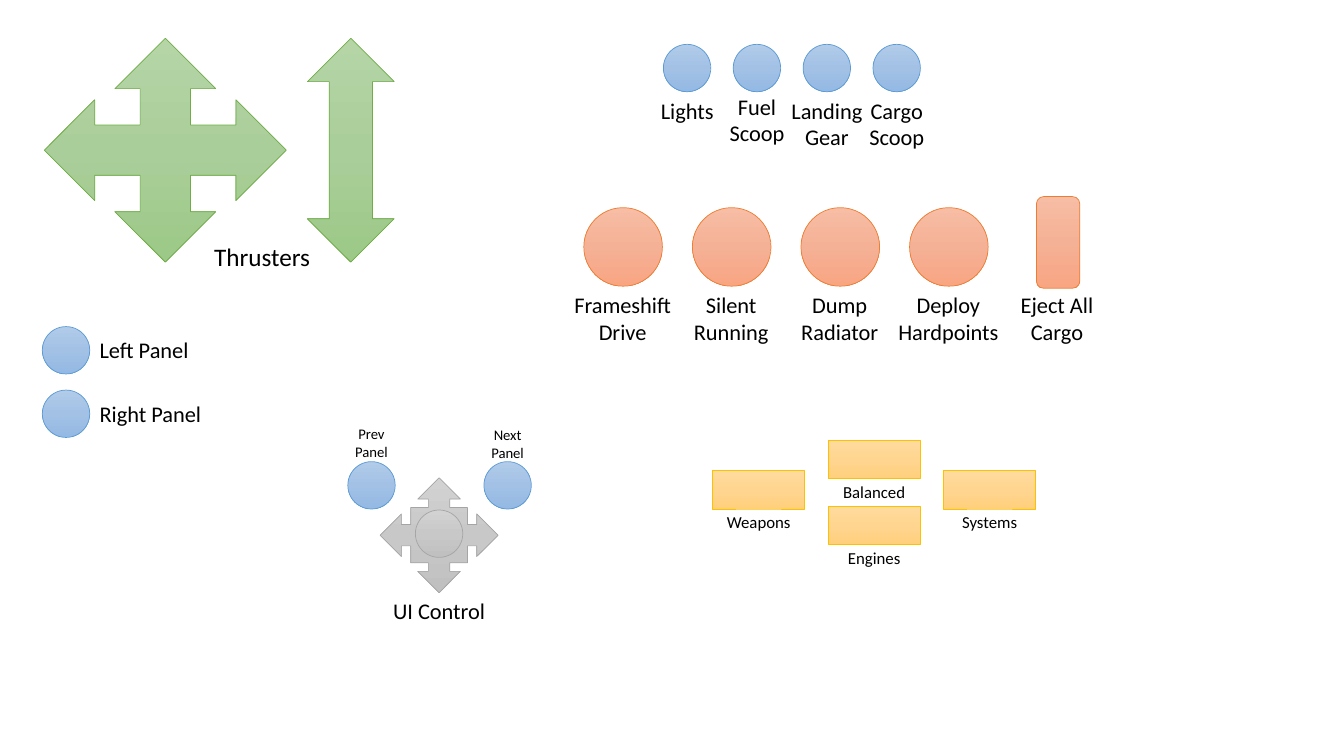
from copy import deepcopy
from dataclasses import dataclass

from pptx import Presentation
from pptx.dml.color import RGBColor
from pptx.enum.shapes import MSO_SHAPE
from pptx.enum.text import MSO_AUTO_SIZE, PP_ALIGN
from pptx.oxml.ns import qn
from pptx.util import Inches, Pt


@dataclass(frozen=True)
class Theme:
    """Colours, font and type sizes of the control map."""
    font: str = "Calibri"
    text: str = "000000"
    # Three gradient colours from top to bottom, then the outline.
    green: tuple = ("B5D5A7", "AACE9A", "9CC987", "70AD47")
    blue: tuple = ("B1CBE9", "A3C1E5", "93B9E4", "5B9BD5")
    orange: tuple = ("F7BDA5", "F5B196", "F8A582", "ED7D31")
    yellow: tuple = ("FFDB9E", "FFD590", "FFD07C", "FFC000")
    grey: tuple = ("D2D2D2", "C8C8C8", "C0C0C0", "A5A5A5")
    outline: float = 0.5
    heading: float = 18
    body: float = 16
    small: float = 12
    tiny: float = 10.5


THEME = Theme()
CIRCLE = MSO_SHAPE.FLOWCHART_CONNECTOR
SMALL_BUTTON = 0.47
LARGE_BUTTON = 0.78

# Label and its top
SHIP_SWITCHES = [("Lights", 0.91), ("Fuel\nScoop", 0.87),
                 ("Landing\nGear", 0.91), ("Cargo\nScoop", 0.91)]
COMBAT_BUTTONS = ["Frameshift\nDrive", "Silent\nRunning", "Dump\nRadiator",
                  "Deploy\nHardpoints"]
EJECT_LABEL = "Eject All\nCargo"
SIDE_PANELS = ["Left Panel", "Right Panel"]
# Label, left, label top
PANEL_TABS = [("Prev\nPanel", 3.45, 4.17), ("Next\nPanel", 4.8, 4.18)]
# Label, column, top
POWER_KEYS = [("Weapons", 0, 4.67), ("Balanced", 1, 4.37),
              ("Engines", 1, 5.02), ("Systems", 2, 4.67)]


def add_control(page, kind, left, top, width, height, colours):
    """Add a shape with a vertical three-colour gradient and a thin outline."""
    shape = page.shapes.add_shape(kind, Inches(left), Inches(top),
                                  Inches(width), Inches(height))
    shape.shadow.inherit = False
    shape.fill.gradient()
    shape.fill.gradient_angle = 270
    stop_list = shape._element.spPr.find(qn("a:gradFill")).find(qn("a:gsLst"))
    stop_list.insert(1, deepcopy(stop_list[0]))
    for stop, colour, position in zip(shape.fill.gradient_stops, colours,
                                      (0, 0.5, 1)):
        stop.color.rgb = RGBColor.from_string(colour)
        stop.position = position
    shape.line.color.rgb = RGBColor.from_string(colours[-1])
    shape.line.width = Pt(THEME.outline)
    return shape


def add_label(page, text, left, top, width, height, size=THEME.body,
              align=PP_ALIGN.CENTER):
    """Add a text box with one paragraph for each line of text."""
    box = page.shapes.add_textbox(Inches(left), Inches(top),
                                  Inches(width), Inches(height))
    frame = box.text_frame
    frame.word_wrap = True
    frame.auto_size = MSO_AUTO_SIZE.SHAPE_TO_FIT_TEXT
    frame.text = text
    for para in frame.paragraphs:
        para.alignment = align
        para.font.name = THEME.font
        para.font.size = Pt(size)
        para.font.color.rgb = RGBColor.from_string(THEME.text)
    return box


def add_button(page, left, top, size, colours):
    """Add a round button."""
    return add_control(page, CIRCLE, left, top, size, size, colours)


def add_thrusters(page):
    """Add the two thruster arrows and their label."""
    add_control(page, MSO_SHAPE.QUAD_ARROW, 0.44, 0.38, 2.4, 2.22, THEME.green)
    add_control(page, MSO_SHAPE.UP_DOWN_ARROW, 3.05, 0.38, 0.86, 2.22,
                THEME.green)
    add_label(page, "Thrusters", 1.83, 2.34, 1.54, 0.4, size=THEME.heading)


def add_ship_switches(page):
    """Add the row of small blue switches."""
    pitch, label_width = 0.693, 0.92
    for index, (text, label_top) in enumerate(SHIP_SWITCHES):
        left = 6.58 + index * pitch
        add_button(page, left, 0.44, SMALL_BUTTON, THEME.blue)
        add_label(page, text, left + (SMALL_BUTTON - label_width) / 2,
                  label_top, label_width, 0.64 if "\n" in text else 0.37)


def add_combat_buttons(page):
    """Add the row of orange buttons, ending in the eject handle."""
    pitch = 1.077
    for index, text in enumerate(COMBAT_BUTTONS + [EJECT_LABEL]):
        if text != EJECT_LABEL:
            add_button(page, 5.79 + index * pitch, 2.06, LARGE_BUTTON,
                       THEME.orange)
        add_label(page, text, 5.48 + index * pitch, 2.84, 1.39, 0.64)
    add_control(page, MSO_SHAPE.ROUNDED_RECTANGLE, 10.28, 1.95, 0.43, 0.91,
                THEME.orange)


def add_side_panels(page):
    """Add the two side panel buttons with labels on their right."""
    for index, text in enumerate(SIDE_PANELS):
        top = 3.24 + index * 0.63
        add_button(page, 0.42, top, SMALL_BUTTON, THEME.blue)
        add_label(page, text, 0.42 + SMALL_BUTTON, top + 0.05, 1.26, 0.37,
                  align=PP_ALIGN.LEFT)


def add_interface_control(page):
    """Add the grey direction pad with a panel button on each side."""
    add_control(page, MSO_SHAPE.QUAD_ARROW_CALLOUT, 3.77, 4.74, 1.17, 1.14,
                THEME.grey)
    add_button(page, 4.12, 5.06, SMALL_BUTTON, THEME.grey)
    add_label(page, "UI Control", 3.77, 5.88, 1.17, 0.37)
    for text, left, label_top in PANEL_TABS:
        add_button(page, left, 4.58, SMALL_BUTTON, THEME.blue)
        add_label(page, text, left - 0.08, label_top, 0.63, 0.45,
                  size=THEME.tiny)


def add_power_keys(page):
    """Add the yellow power distribution keys."""
    width, pitch = 0.91, 1.145
    for text, column, top in POWER_KEYS:
        left = 7.07 + column * pitch
        add_control(page, MSO_SHAPE.RECTANGLE, left, top, width, 0.38,
                    THEME.yellow)
        add_label(page, text, left, top + 0.36, width, 0.3, size=THEME.small)


def main():
    """Build the control map and save it."""
    deck = Presentation()
    deck.slide_width, deck.slide_height = Inches(13.33), Inches(7.5)
    page = deck.slides.add_slide(deck.slide_layouts.get_by_name("Blank"))
    for add_group in (add_thrusters, add_ship_switches, add_combat_buttons,
                      add_side_panels, add_interface_control, add_power_keys):
        add_group(page)
    deck.save("out.pptx")


main()
